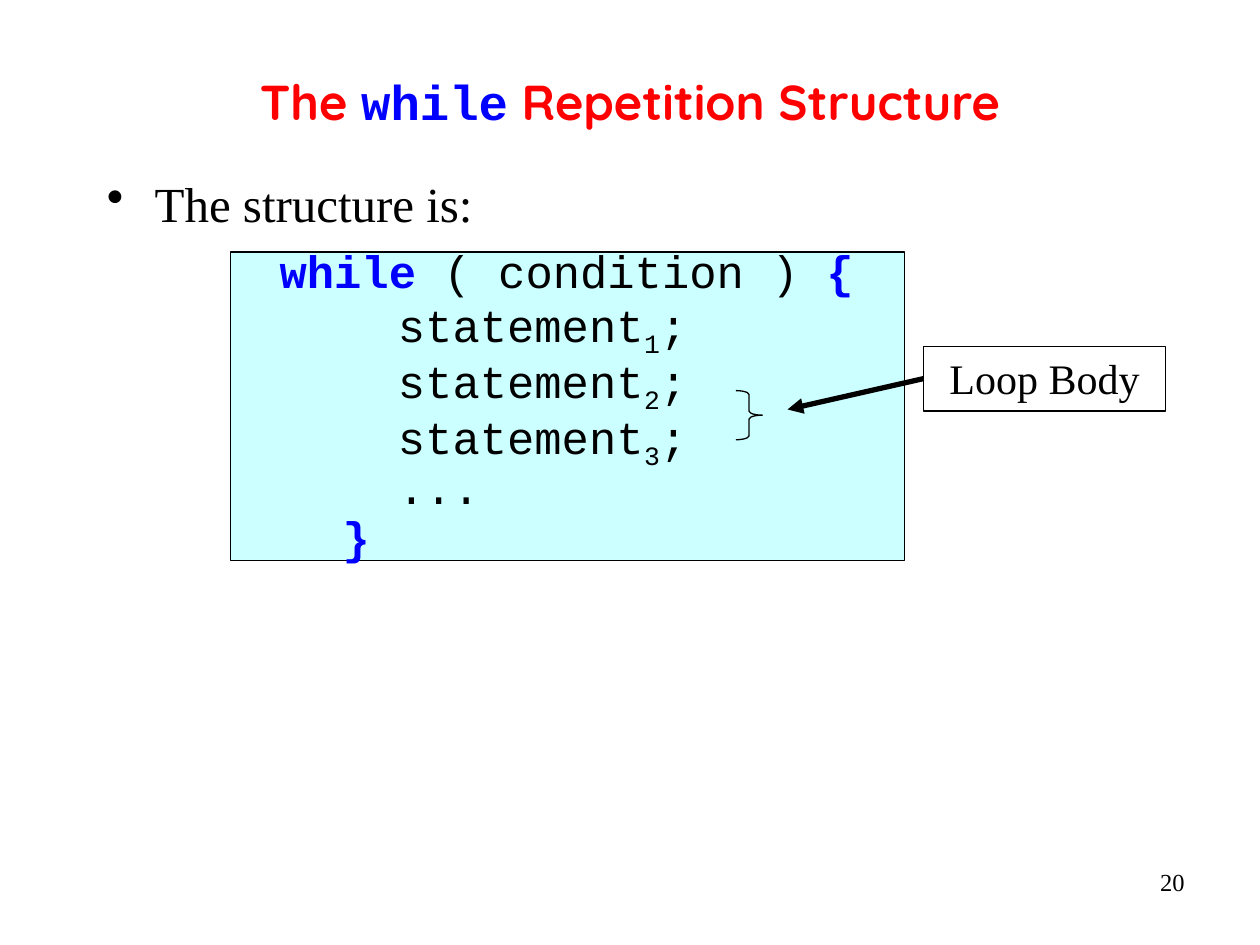
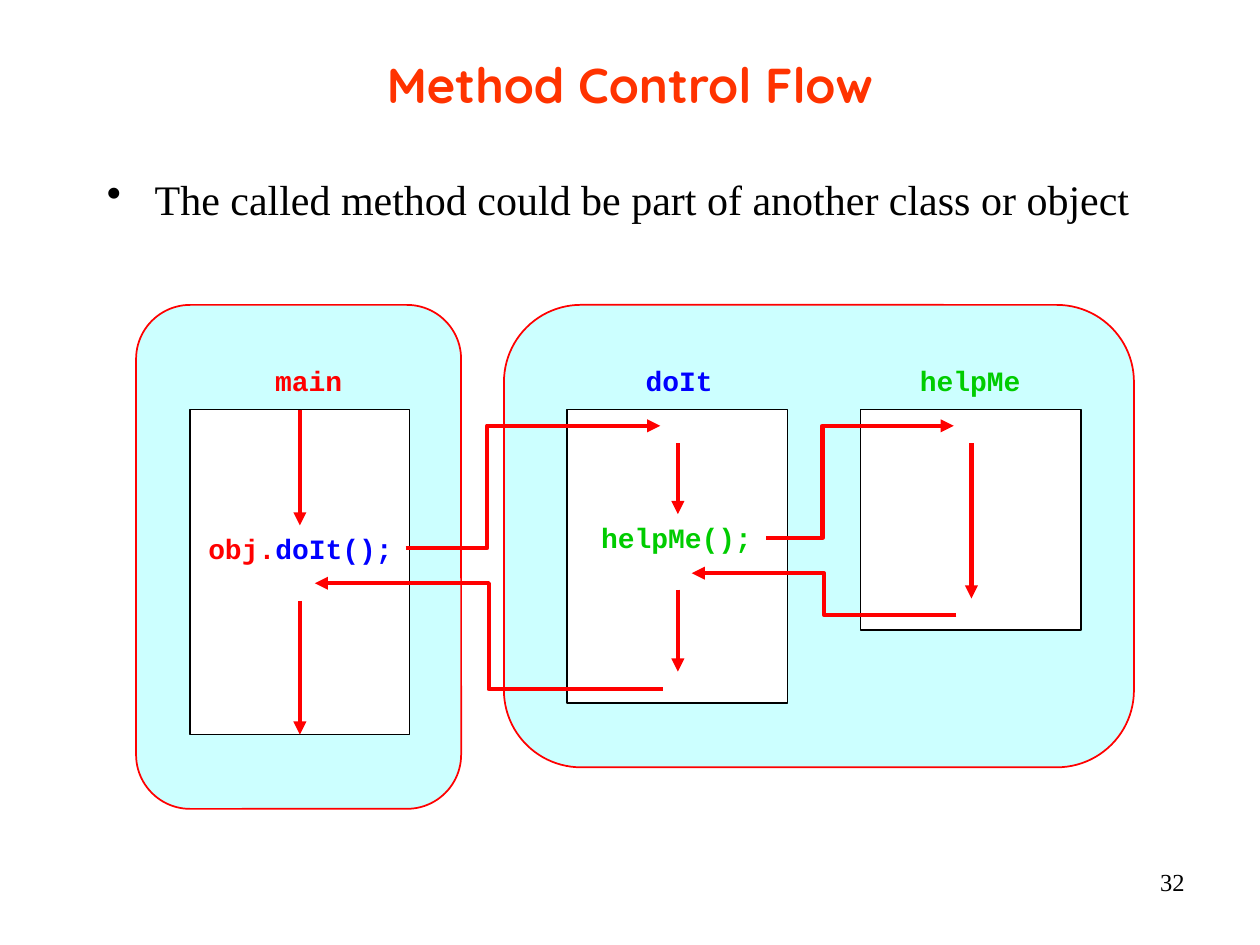
"""Build two slides on the while loop and on method control flow."""
from lxml import etree
from pptx import Presentation
from pptx.dml.color import RGBColor
from pptx.enum.shapes import MSO_CONNECTOR, MSO_SHAPE
from pptx.enum.text import MSO_ANCHOR, PP_ALIGN
from pptx.oxml.ns import qn
from pptx.util import Inches, Pt

RED = RGBColor(0xFF, 0, 0)
ORANGE = RGBColor(0xFF, 0x33, 0)
BLUE = RGBColor(0, 0, 0xFF)
GREEN = RGBColor(0, 0xCC, 0)
BLACK = RGBColor(0, 0, 0)
WHITE = RGBColor(0xFF, 0xFF, 0xFF)
CYAN = RGBColor(0xCC, 0xFF, 0xFF)
HEAD, BODY, CODE = "Quicksand", "Times New Roman", "Courier New"
LEFT, MID, RIGHT = PP_ALIGN.LEFT, PP_ALIGN.CENTER, PP_ALIGN.RIGHT
TOP, MIDDLE = MSO_ANCHOR.TOP, MSO_ANCHOR.MIDDLE
RECT, BRACE = MSO_SHAPE.RECTANGLE, MSO_SHAPE.RIGHT_BRACE
ROUND = MSO_SHAPE.FLOWCHART_ALTERNATE_PROCESS
LINE, BENT = MSO_CONNECTOR.STRAIGHT, MSO_CONNECTOR.ELBOW


def add_box(slide, at, kind=None, fill=None, line=BLACK, width=1,
            paras=(), size=16, align=MID, anchor=MIDDLE, wrap=True, before=0, space=1):
    """Add a text box or a preset shape; a run is text, font, colour, bold, baseline."""
    at = [Inches(v) for v in at]
    if kind is None:
        box = slide.shapes.add_textbox(*at)
    else:
        box = slide.shapes.add_shape(kind, *at)
        box.shadow.inherit = False
        if fill is None:
            box.fill.background()
        else:
            box.fill.solid()
            box.fill.fore_color.rgb = fill
        box.line.color.rgb = line
        box.line.width = Pt(width)
    frame = box.text_frame
    frame.word_wrap = wrap
    frame.vertical_anchor = anchor
    look = {"alignment": align, "space_before": Pt(before), "line_spacing": space}
    for i, (indent, runs) in enumerate(paras):
        para = frame.add_paragraph() if i else frame.paragraphs[0]
        for key, value in look.items():
            setattr(para, key, value)
        para._p.get_or_add_pPr().set("marL", str(Inches(indent)))
        for text, font, color, bold, base in runs:
            run = para.add_run()
            run.text = text
            style = {"name": font, "size": Pt(size), "bold": bold}
            for key, value in style.items():
                setattr(run.font, key, value)
            run.font.color.rgb = color
            if base:
                run._r.get_or_add_rPr().set("baseline", str(base))
    return box


def add_arrow(slide, start, end, color=RED, width=2.5, bend=None):
    """Add an arrow, straight or with its elbow at the given share of the way."""
    kind = LINE if bend is None else BENT
    ends = [Inches(v) for v in (*start, *end)]
    arrow = slide.shapes.add_connector(kind, *ends)
    arrow.line.color.rgb = color
    arrow.line.width = Pt(width)
    props = arrow._element.spPr
    etree.SubElement(props.find(qn("a:ln")), qn("a:tailEnd"), type="triangle")
    etree.SubElement(props, qn("a:effectLst"))
    if bend is not None:
        guides = props.find(".//" + qn("a:avLst"))
        etree.SubElement(guides, qn("a:gd"), name="adj1", fmla=f"val {round(bend * 100000)}")
    return arrow


deck = Presentation()
deck.slide_width, deck.slide_height = Inches(10), Inches(7.5)

pages = [
    (0.22, [("The ", HEAD, RED, True, 0), ("while", CODE, BLUE, True, 0),
            (" Repetition Structure", HEAD, RED, True, 0)],
     "The structure is:", 28, 0.5, "20"),
    (0.08, [("Method Control Flow", HEAD, ORANGE, True, 0)],
     "The called method could be part of another class or object", 24, 0.93, "32"),
]
slides = []
for top, title, point, size, height, number in pages:
    slide = deck.slides.add_slide(deck.slide_layouts[6])
    slides.append(slide)
    add_box(slide, (0.75, top, 8.5, 1.17), paras=[(0, title)], size=28)
    body = add_box(slide, (0.75, 1.33, 8.5, height), size=size, align=LEFT, anchor=TOP,
                   before=4, paras=[(0.38, [(point, BODY, BLACK, False, 0)])])
    props = body.text_frame.paragraphs[0]._p.pPr
    props.set("indent", str(-Inches(0.38)))
    etree.SubElement(props, qn("a:buChar"), char="•")
    add_box(slide, (7.42, 6.83, 2.08, 0.5), size=14, align=RIGHT, anchor=TOP,
            paras=[(0, [(number, BODY, BLACK, False, 0)])])
loop, flow = slides

code = [(0.29, [("while ", CODE, BLUE, True, 0), ("( condition ) ", CODE, BLACK, False, 0),
                ("{", CODE, BLUE, True, 0)])]
for i in "123":
    code.append((1.23, [("statement", CODE, BLACK, False, 0), (i, CODE, BLACK, False, -25000),
                        (";", CODE, BLACK, False, 0)]))
code += [(1.23, [("...", CODE, BLACK, False, 0)]), (0.79, [("}", CODE, BLUE, True, 0)])]
add_box(loop, (1.83, 2, 5.35, 2.45), RECT, CYAN, width=0.75, paras=code, size=26,
        align=LEFT, space=0.9)
brace = add_box(loop, (5.84, 3.1, 0.21, 0.39), BRACE, width=0.75)
brace.adjustments[0] = 0.15
note = add_box(loop, (7.33, 2.75, 1.92, 0.51), RECT, size=24, anchor=TOP, before=3,
               paras=[(0, [("Loop Body", BODY, BLACK, False, 0)])])
add_arrow(loop, (7.33, 3), (6.25, 3.25), BLACK, 3).begin_connect(note, 1)

for left, width, height in [(4, 5, 3.67), (1.08, 2.58, 4)]:
    add_box(flow, (left, 2.42, width, height), ROUND, CYAN, RED)
frames = [add_box(flow, (left, 3.25, width, height), RECT, WHITE)
          for left, width, height in [(1.51, 1.74, 2.58), (4.5, 1.75, 2.33), (6.83, 1.75, 1.75)]]

labels = [
    (2.08, 2.83, 0.74, [("main", RED)]),
    (5.02, 2.83, 0.74, [("doIt", BLUE)]),
    (7.2, 2.83, 1, [("helpMe", GREEN)]),
    (1.55, 4.17, 1.67, [("obj.", RED), ("doIt();", BLUE)]),
    (4.67, 4.08, 1.4, [("helpMe();", GREEN)]),
]
for left, top, width, parts in labels:
    runs = [(text, CODE, color, True, 0) for text, color in parts]
    add_box(flow, (left, top, width, 0.37), paras=[(0, runs)], wrap=False)

main = frames[0]
add_arrow(flow, (2.38, 3.25), (2.38, 4.17)).begin_connect(main, 0)
add_arrow(flow, (2.38, 4.77), (2.38, 5.83)).end_connect(main, 2)
for x, top, end in [(5.38, 3.52, 4.08), (5.38, 4.68, 5.33), (7.71, 3.52, 4.75)]:
    add_arrow(flow, (x, top), (x, end))

jumps = [
    ((3.22, 4.35), (5.24, 3.38), 0.32),
    ((6.08, 4.27), (7.57, 3.38), 0.3),
    ((7.59, 4.88), (5.49, 4.55), 0.5),
    ((5.26, 5.47), (2.5, 4.63), 0.5),
]
for start, end, bend in jumps:
    add_arrow(flow, start, end, bend=bend)

deck.save("out.pptx")
